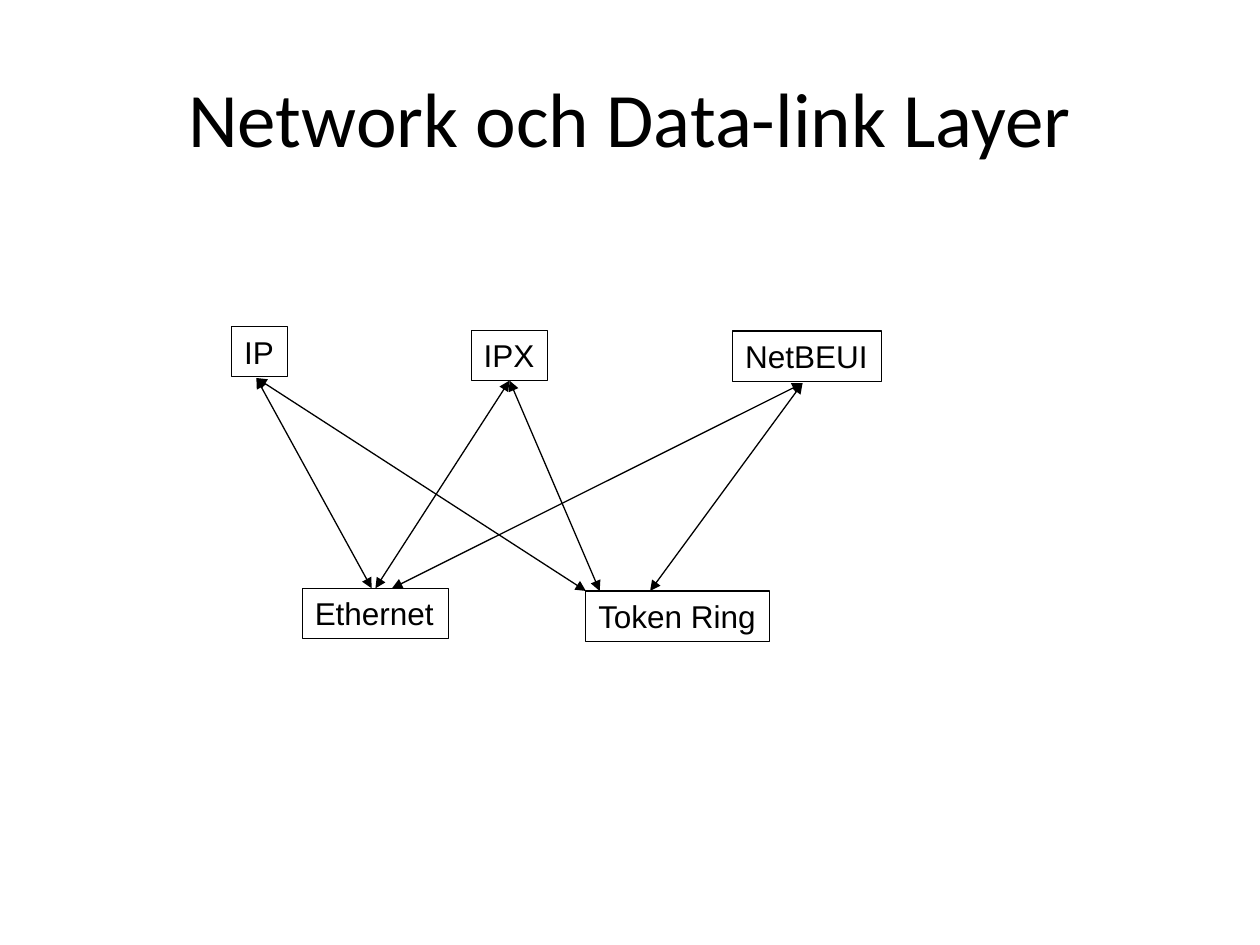
"""Slide showing network protocols linked to data-link technologies."""
from lxml.etree import SubElement
from pptx import Presentation
from pptx.dml.color import RGBColor
from pptx.enum.shapes import MSO_CONNECTOR
from pptx.enum.text import MSO_ANCHOR, MSO_AUTO_SIZE, PP_ALIGN
from pptx.oxml.ns import qn
from pptx.util import Pt

COLORS = {"ink": "000000"}
INK = RGBColor.from_string(COLORS["ink"])
BOX_H = 28.8
TOP, BOTTOM = 0, 2


def add_text(s, text, box, font, size):
    sp = s.shapes.add_textbox(*[Pt(v) for v in box])
    tf = sp.text_frame
    tf.text = text
    r = tf.paragraphs[0].runs[0]
    r.font.name = font
    r.font.size = Pt(size)
    r.font.color.rgb = INK
    return sp


prs = Presentation()
prs.slide_width, prs.slide_height = Pt(720), Pt(540)
s = prs.slides.add_slide(prs.slide_layouts[6])

title = add_text(s, "Network och Data-link Layer", (36, 21.6, 648, 90), "Calibri", 44)
title.text_frame.word_wrap = True
title.text_frame.vertical_anchor = MSO_ANCHOR.MIDDLE
title.text_frame.paragraphs[0].alignment = PP_ALIGN.CENTER

boxes = {}
for name, left, top, width in [
    ("IP", 132.5, 186.5, 31.7),
    ("IPX", 269.3, 188.7, 43.7),
    ("NetBEUI", 418.7, 189.2, 85.2),
    ("Ethernet", 172.8, 336.2, 83.5),
    ("Token Ring", 334.8, 337.7, 105.1),
]:
    sp = add_text(s, name, (left, top, width, BOX_H), "Arial", 18)
    sp.text_frame.word_wrap = False
    sp.text_frame.auto_size = MSO_AUTO_SIZE.SHAPE_TO_FIT_TEXT
    sp.line.color.rgb = INK
    sp.line.width = Pt(0.75)
    boxes[name] = sp

for upper, lower, ends in [
    ("IP", "Ethernet", (146.5, 216, 212.4, 336.2)),
    ("IP", "Token Ring", (146.5, 216, 334.8, 337.7)),
    ("IPX", "Ethernet", (291, 218, 214.6, 336.2)),
    ("IPX", "Token Ring", (291, 218.5, 342.7, 337.7)),
    ("NetBEUI", "Ethernet", (458.6, 219, 224, 336.2)),
    ("NetBEUI", "Token Ring", (458.6, 219, 371.5, 337.7)),
]:
    link = s.shapes.add_connector(MSO_CONNECTOR.STRAIGHT, *[Pt(v) for v in ends])
    if upper == "IPX":
        link.begin_connect(boxes[upper], BOTTOM)
        if lower == "Ethernet":
            link.end_connect(boxes[lower], TOP)
    link.line.color.rgb = INK
    link.line.width = Pt(0.75)
    ln = link.line._get_or_add_ln()
    for end in ("a:headEnd", "a:tailEnd"):
        SubElement(ln, qn(end), type="triangle")
    SubElement(link._element.spPr, qn("a:effectLst"))

prs.save("out.pptx")
